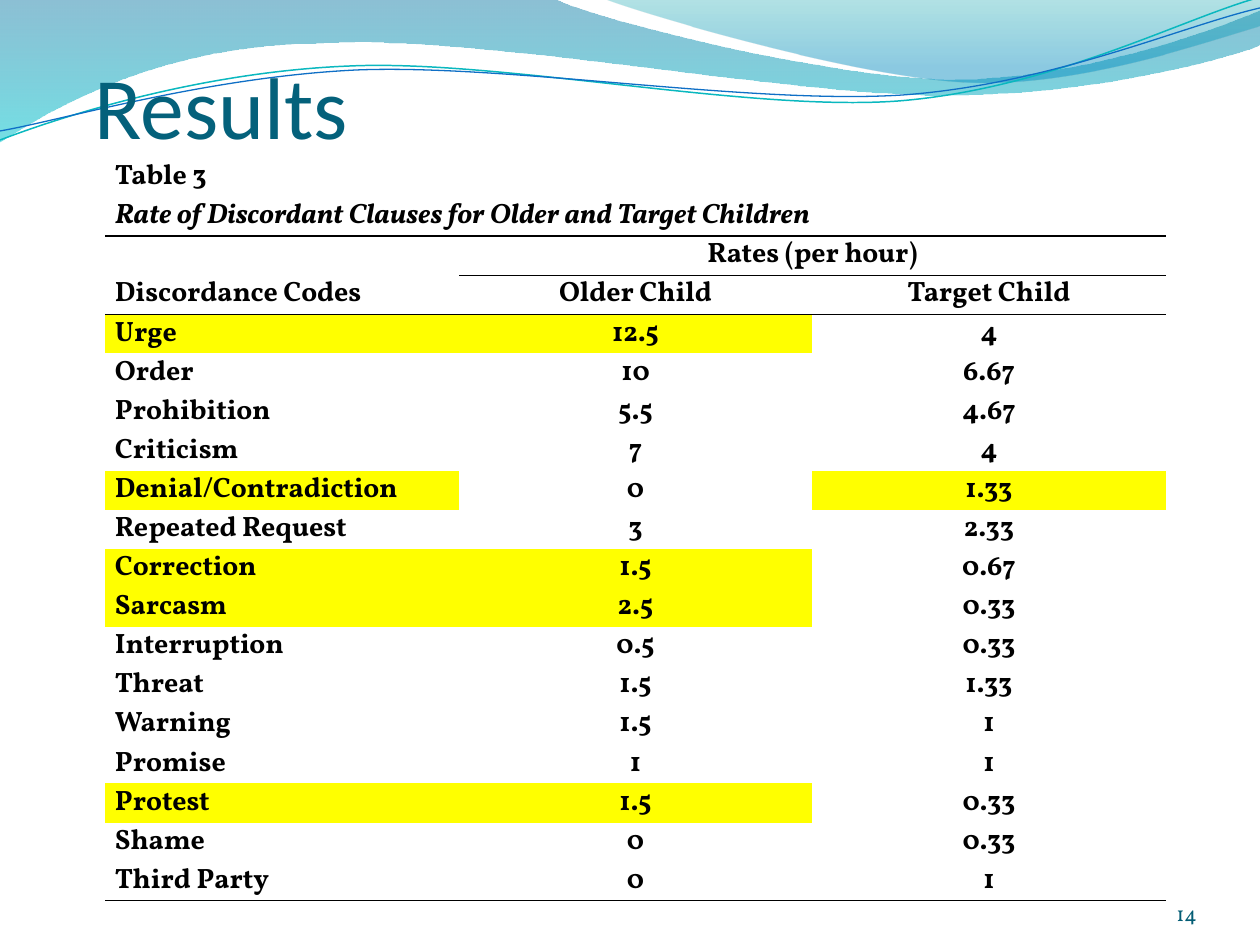
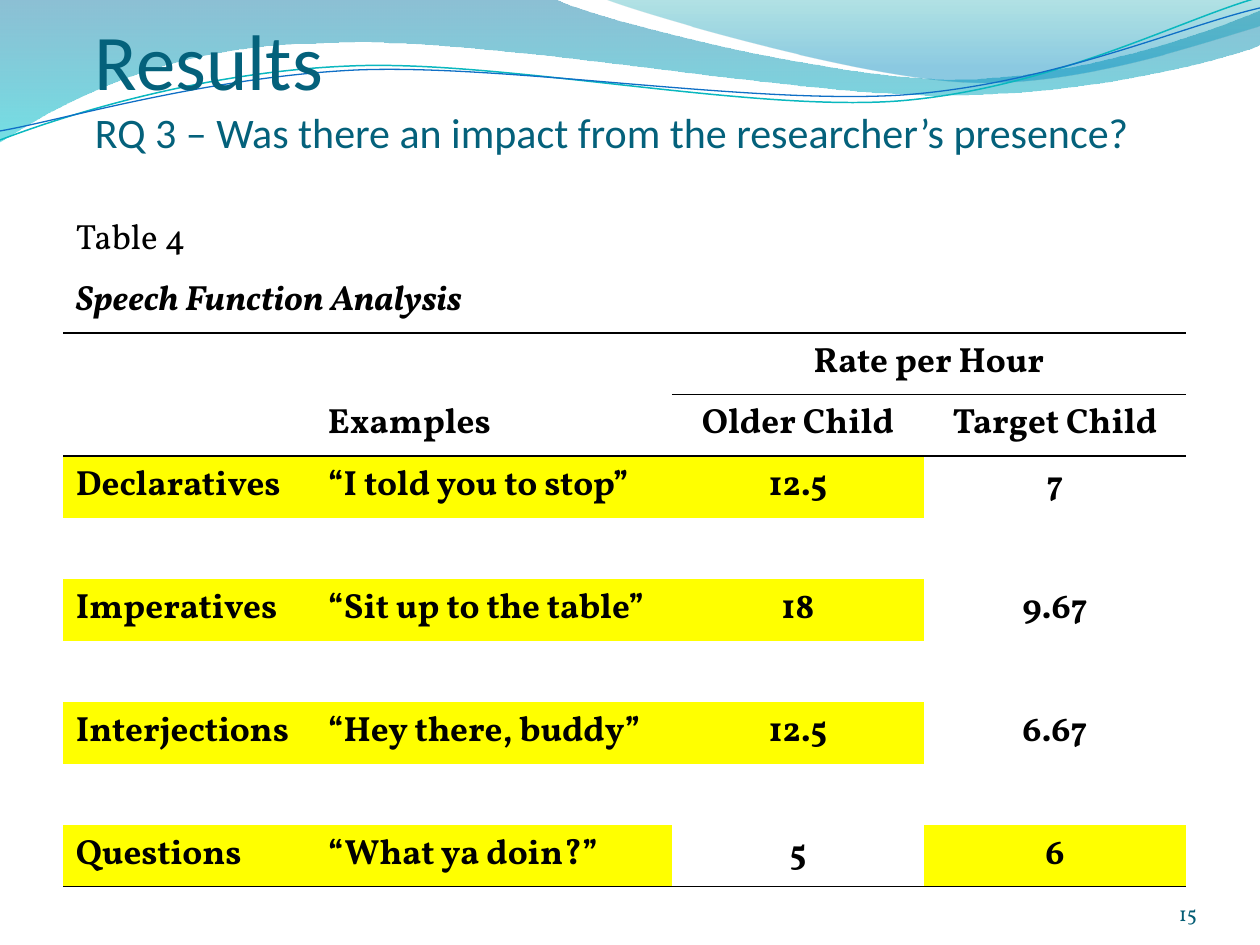
"""Two result slides with rate tables under a shared wave banner."""
from lxml import etree
from pptx import Presentation
from pptx.dml.color import RGBColor
from pptx.enum.text import MSO_ANCHOR, PP_ALIGN
from pptx.oxml.ns import qn
from pptx.util import Pt

BOTTOM = MSO_ANCHOR.BOTTOM
LEFT, CENTER, RIGHT = PP_ALIGN.LEFT, PP_ALIGN.CENTER, PP_ALIGN.RIGHT
PX = 914400 / 126
HEADING_FONT, BODY_FONT = "Calibri", "Vollkorn"
BLACK = RGBColor(0x00, 0x00, 0x00)
TITLE_TEAL = RGBColor(0x04, 0x61, 0x7B)
NUMBER_TEAL = RGBColor(0x04, 0x5D, 0x75)
YELLOW = RGBColor(0xFF, 0xFF, 0x00)
BAND_BLUE = RGBColor(0x00, 0x74, 0xA1)
BAND_CYAN = RGBColor(0x00, 0xC6, 0xCF)
CREST_TEAL = RGBColor(0x00, 0xA1, 0xA9)
CREST_BLUE = RGBColor(0x00, 0x8B, 0xBF)
LINE_TEAL = RGBColor(0x0A, 0xB8, 0xBF)
LINE_BLUE = RGBColor(0x0F, 0x6F, 0xC6)
NO_TABLE_STYLE = "{2D5ABB26-0587-4C30-8999-92F81FD0307C}"

BAND = [(0, -1), (554, -1), (600, 21, 837, 79, 955, 79), (1075, 79, 1207, 33, 1260, 11),
        (1261, 45), (1239, 55, 1096, 96, 940, 95), (784, 95, 481, 35, 324, 43),
        (163, 44, 58, 105, -1, 142)]
CREST = [(604, -1), (641, 14, 859, 78, 969, 82), (1079, 87, 1211, 40, 1260, 26), (1260, 0)]
TEAL_WAVE = [(0, 140), (60, 117, 199, 72, 349, 66), (498, 59, 747, 112, 898, 101),
             (1050, 89, 1182, 19, 1257, -2)]
BLUE_WAVE = [(0, 131), (59, 121, 207, 77, 357, 70), (508, 64, 752, 105, 903, 95),
             (1053, 84, 1182, 26, 1260, 8)]
FILLED_WAVES = [
    (BAND, [(0, BAND_BLUE, 45), (1, BAND_CYAN, 55)]),
    (CREST, [(0, CREST_TEAL, 30), (0.8, CREST_BLUE, 45)]),
]
LINE_WAVES = [(TEAL_WAVE, LINE_TEAL, 0.85), (BLUE_WAVE, LINE_BLUE, 0.75)]

DISCORDANCE = {
    "number": "14",
    "title": [("Results", 50)],
    "title_width": 946,
    "box": (105, 158, 743),
    "widths": (354, 353, 354),
    "margins": (10, 0),
    "size": 16,
    "caption_bold": True,
    "highlighted": {"Urge", "Denial/Contradiction", "Correction", "Sarcasm", "Protest"},
    "rows": [
        ("Table 3", "", ""),
        ("Rate of Discordant Clauses for Older and Target Children", "", ""),
        ("", "Rates (per hour)", ""),
        ("Discordance Codes", "Older Child", "Target Child"),
        ("Urge", "12.5", "4"),
        ("Order", "10", "6.67"),
        ("Prohibition", "5.5", "4.67"),
        ("Criticism", "7", "4"),
        ("Denial/Contradiction", "0", "1.33"),
        ("Repeated Request", "3", "2.33"),
        ("Correction", "1.5", "0.67"),
        ("Sarcasm", "2.5", "0.33"),
        ("Interruption", "0.5", "0.33"),
        ("Threat", "1.5", "1.33"),
        ("Warning", "1.5", "1"),
        ("Promise", "1", "1"),
        ("Protest", "1.5", "0.33"),
        ("Shame", "0", "0.33"),
        ("Third Party", "0", "1"),
    ],
}
SPACER = ("", "", "", "")
SPEECH = {
    "number": "15",
    "title": [("Results", 45),
              ("RQ 3 – Was there an impact from the researcher’s presence?", 24)],
    "title_width": 1102,
    "box": (63, 210, 677),
    "widths": (252, 357, 252, 262),
    "margins": (13, 6),
    "size": 20,
    "caption_bold": False,
    "highlighted": {"Declaratives", "Imperatives", "Interjections", "Questions"},
    "rows": [
        ("Table 4", "", "", ""),
        ("Speech Function Analysis", "", "", ""),
        ("", "", "Rate per Hour", ""),
        ("", "Examples", "Older Child", "Target Child"),
        ("Declaratives", "“I told you to stop”", "12.5", "7"),
        SPACER,
        ("Imperatives", "“Sit up to the table”", "18", "9.67"),
        SPACER,
        ("Interjections", "“Hey there, buddy”", "12.5", "6.67"),
        SPACER,
        ("Questions", "“What ya doin?”", "5", "6"),
    ],
}


def write(frame, text, size, font=BODY_FONT, color=BLACK, bold=False, italic=False, align=LEFT):
    """Append a line of formatted text to the first paragraph of a frame."""
    paragraph = frame.paragraphs[0]
    paragraph.alignment = align
    if paragraph.runs:
        paragraph.add_line_break()
    run = paragraph.add_run()
    run.text = text
    run.font.name, run.font.size = font, Pt(size)
    run.font.bold, run.font.italic = bold, italic
    run.font.color.rgb = color


def draw_wave(slide, segments, closed):
    """Draw straight and cubic segments, given in pixels, as one outline."""
    ends = [(round(s[-2] * PX), round(s[-1] * PX)) for s in segments]
    builder = slide.shapes.build_freeform(*ends[0])
    builder.add_line_segments(ends[1:], close=closed)
    wave = builder.convert_to_shape()
    wave.shadow.inherit = False
    straight = list(wave._element.iter(qn("a:lnTo")))
    for line, segment in zip(straight, segments[1:]):
        if len(segment) == 6:
            line.tag = qn("a:cubicBezTo")
            for i, (x, y) in enumerate((segment[:2], segment[2:4])):
                control = etree.Element(qn("a:pt"), x=str(round(x * PX) - wave.left),
                                        y=str(round(y * PX) - wave.top))
                line.insert(i, control)
    return wave


deck = Presentation()
deck.slide_width, deck.slide_height = round(1260 * PX), round(945 * PX)

for content in (DISCORDANCE, SPEECH):
    slide = deck.slides.add_slide(deck.slide_layouts[6])

    for outline, stops in FILLED_WAVES:
        wave = draw_wave(slide, outline, True)
        wave.line.fill.background()
        wave.fill.gradient()
        wave.fill.gradient_angle = 270
        for stop, (position, color, _) in zip(wave.fill.gradient_stops, stops):
            stop.position, stop.color.rgb = position, color
        for tint, (_, _, opacity) in zip(wave._element.spPr.iter(qn("a:srgbClr")), stops):
            etree.SubElement(tint, qn("a:alpha"), val=str(opacity * 1000))
    for outline, color, width in LINE_WAVES:
        wave = draw_wave(slide, outline, False)
        wave.fill.background()
        wave.line.color.rgb, wave.line.width = color, Pt(width)

    title_place = (95, 21, content["title_width"], 136)
    title_box = slide.shapes.add_textbox(*(round(v * PX) for v in title_place))
    number_box = slide.shapes.add_textbox(*(round(v * PX) for v in (1092, 876, 105, 50)))
    for box in (title_box, number_box):
        frame = box.text_frame
        frame.word_wrap, frame.vertical_anchor = True, BOTTOM
        frame.margin_left = frame.margin_right = frame.margin_top = frame.margin_bottom = 0
    for line, size in content["title"]:
        write(title_box.text_frame, line, size, font=HEADING_FONT, color=TITLE_TEAL)
    write(number_box.text_frame, content["number"], 12, color=NUMBER_TEAL, align=RIGHT)

    rows, widths = content["rows"], content["widths"]
    left, top, height = content["box"]
    last_row, last_col = len(rows) - 1, len(widths) - 1
    older_col = last_col - 1
    table = slide.shapes.add_table(
        len(rows), len(widths), *(round(v * PX) for v in (left, top, sum(widths), height))).table
    table.first_row = table.horz_banding = False
    table._tbl.tblPr.find(qn("a:tableStyleId")).text = NO_TABLE_STYLE
    for column, width in zip(table.columns, widths):
        column.width = round(width * PX)
    for row in table.rows:
        row.height = round(height / len(rows) * PX)
    for caption_row in (0, 1):
        table.cell(caption_row, 0).merge(table.cell(caption_row, last_col))
    table.cell(2, older_col).merge(table.cell(2, last_col))

    ruled = {(r, c) for r in (1, 3, last_row) for c in range(len(widths))}
    ruled |= {(2, older_col), (2, last_col)}
    margin_x, margin_y = (round(v * PX) for v in content["margins"])
    for r, texts in enumerate(rows):
        highlighted = texts[0] in content["highlighted"]
        for c, text in enumerate(texts):
            cell = table.cell(r, c)
            cell.margin_left = cell.margin_right = margin_x
            cell.margin_top = cell.margin_bottom = margin_y
            if text:
                write(cell.text_frame, text, content["size"],
                      bold=r > 0 or content["caption_bold"], italic=r == 1,
                      align=CENTER if c >= older_col else LEFT)
            if highlighted and (c < older_col or float(text) == max(map(float, texts[older_col:]))):
                cell.fill.solid()
                cell.fill.fore_color.rgb = YELLOW
            else:
                cell.fill.background()
            properties = cell._tc.get_or_add_tcPr()
            edges = (("a:lnL", False), ("a:lnR", False),
                     ("a:lnT", (r - 1, c) in ruled), ("a:lnB", (r, c) in ruled))
            for i, (edge, visible) in enumerate(edges):
                border = etree.Element(qn(edge), w=str(Pt(1)))
                if visible:
                    ink = etree.SubElement(border, qn("a:solidFill"))
                    etree.SubElement(ink, qn("a:srgbClr"), val=str(BLACK))
                else:
                    etree.SubElement(border, qn("a:noFill"))
                properties.insert(i, border)

deck.save("out.pptx")
